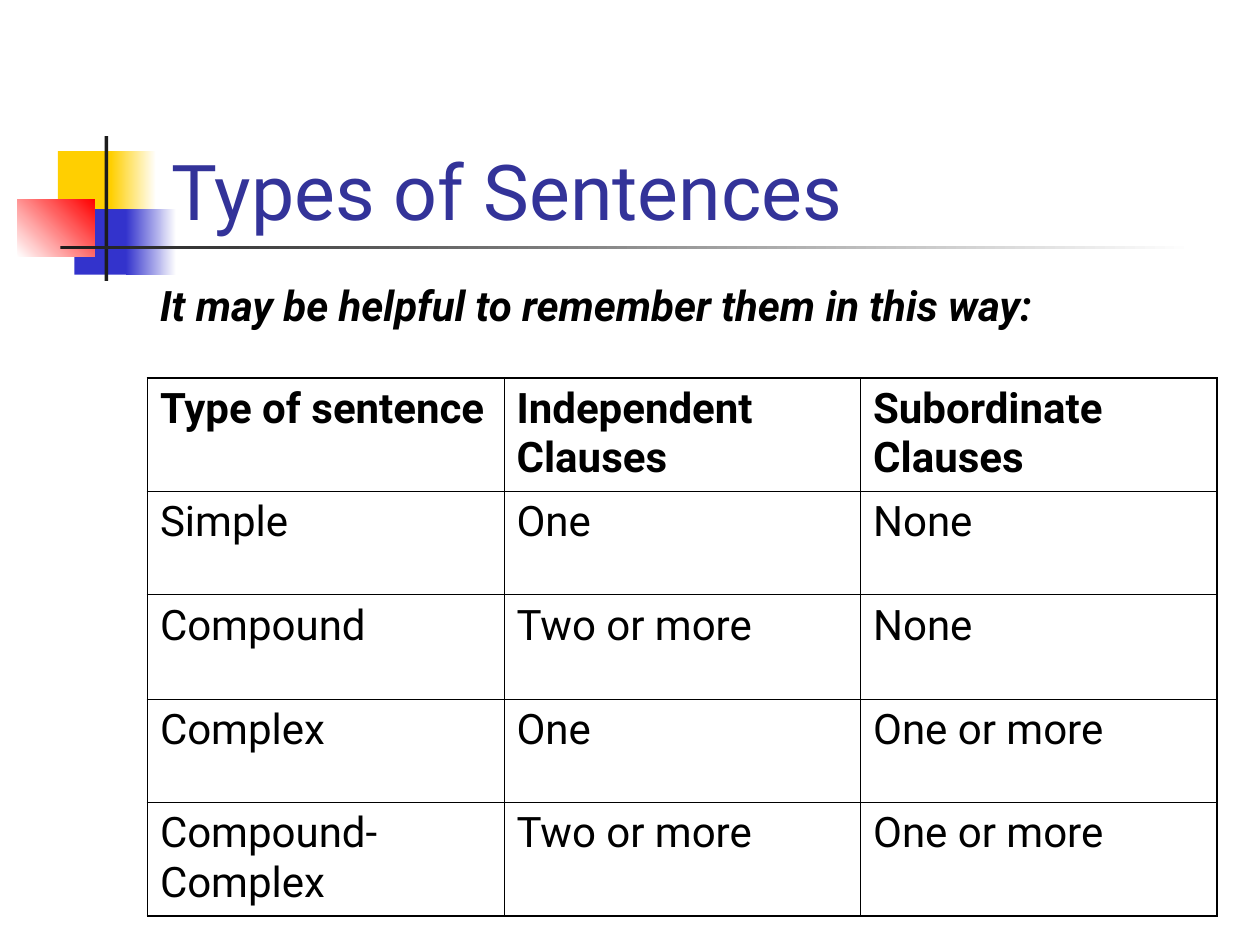
from dataclasses import dataclass

from lxml.etree import SubElement
from pptx import Presentation
from pptx.dml.color import RGBColor
from pptx.enum.shapes import MSO_SHAPE
from pptx.enum.text import MSO_ANCHOR, MSO_AUTO_SIZE, PP_ALIGN
from pptx.oxml import parse_xml
from pptx.oxml.ns import qn
from pptx.util import Inches, Pt

FONT = "Roboto"
BLACK, WHITE = "000000", "FFFFFF"
OUTER, INNER = 1.08, 0.45  # table border widths in points


@dataclass
class Block:
    """A decorative rectangle; a second colour makes it a gradient."""
    left: float
    top: float
    width: float
    height: float
    color: str
    end_color: str = ""
    angle: float = 0


BLOCKS = [
    Block(0.46, 1.2, 0.48, 0.52, "FFCF01"),
    Block(0.88, 1.2, 0.36, 0.52, "FFCF01", WHITE),
    Block(0.59, 1.66, 0.46, 0.52, "3333CC"),
    Block(1, 1.66, 0.4, 0.52, "3333CC", WHITE),
    Block(0.14, 1.58, 0.61, 0.46, WHITE, "FF0000", 45),
    Block(0.83, 1.08, 0.03, 1.15, "1C1C1C"),
    Block(0.48, 1.95, 9, 0.03, "1C1C1C", WHITE),
]

ROWS = [
    ("Type of sentence", "Independent Clauses", "Subordinate Clauses"),
    ("Simple", "One", "None"),
    ("Compound", "Two or more", "None"),
    ("Complex", "One", "One or more"),
    ("Compound-Complex", "Two or more", "One or more"),
]
ROW_HEIGHTS = [0.9, 0.82, 0.83, 0.82, 0.9]
COL_WIDTH = 2.83


def rgb(color: str) -> RGBColor:
    return RGBColor.from_string(color)


def write(tf, text: str, color: str = BLACK, **formats) -> None:
    p = tf.paragraphs[0]
    p.alignment = PP_ALIGN.LEFT
    r = p.add_run()
    r.text = text
    for name, value in {"name": FONT, "size": Pt(24), **formats}.items():
        setattr(r.font, name, value)
    r.font.color.rgb = rgb(color)


def draw_block(s, block: Block) -> None:
    box = map(Inches, (block.left, block.top, block.width, block.height))
    sp = s.shapes.add_shape(MSO_SHAPE.RECTANGLE, *box)
    sp.shadow.inherit = False
    sp.line.fill.background()
    if block.end_color:
        sp.fill.gradient()
        sp.fill.gradient_angle = block.angle
        for stop, color in zip(sp.fill.gradient_stops, (block.color, block.end_color)):
            stop.color.rgb = rgb(color)
    else:
        sp.fill.solid()
        sp.fill.fore_color.rgb = rgb(block.color)


def set_borders(cell, widths: dict[str, float]) -> None:
    """Put the side lines ahead of the cell's fill, as the schema orders them."""
    tc_pr = cell._tc.get_or_add_tcPr()
    for i, (side, width) in enumerate(widths.items()):
        ln = parse_xml(
            '<a:ln%s xmlns:a="http://schemas.openxmlformats.org/drawingml/2006/main"/>' % side)
        ln.set("w", str(Pt(width)))
        fill = SubElement(ln, qn("a:solidFill"))
        SubElement(fill, qn("a:srgbClr")).set("val", BLACK)
        tc_pr.insert(i, ln)


def draw_table(s, left: float, top: float) -> None:
    n_rows, n_cols = len(ROWS), len(ROWS[0])
    table = s.shapes.add_table(
        n_rows, n_cols, Inches(left), Inches(top),
        Inches(COL_WIDTH * n_cols), Inches(sum(ROW_HEIGHTS))).table
    table.first_row = table.horz_banding = False
    for column in table.columns:
        column.width = Inches(COL_WIDTH)
    for i, (texts, height) in enumerate(zip(ROWS, ROW_HEIGHTS)):
        table.rows[i].height = Inches(height)
        for j, text in enumerate(texts):
            cell = table.cell(i, j)
            cell.fill.solid()
            cell.fill.fore_color.rgb = rgb(WHITE)
            write(cell.text_frame, text, bold=i == 0)
            edges = {"L": j == 0, "R": j == n_cols - 1,
                     "T": i == 0, "B": i == n_rows - 1}
            set_borders(cell, {side: OUTER if edge else INNER
                               for side, edge in edges.items()})


def main() -> None:
    prs = Presentation()
    prs.slide_width, prs.slide_height = Inches(10), Inches(7.5)
    s = prs.slides.add_slide(prs.slide_layouts[5])

    # Decoration behind the title
    for block in BLOCKS:
        draw_block(s, block)

    # Title, brought in front of the decoration
    title = s.shapes.title
    title.left, title.top, title.width, title.height = map(Inches, (1.26, 0.67, 8.52, 1.25))
    s.shapes._spTree.append(title._element)
    tf = title.text_frame
    tf.auto_size = MSO_AUTO_SIZE.NONE
    tf.vertical_anchor = MSO_ANCHOR.BOTTOM
    write(tf, "Types of Sentences", "333399", size=Pt(44))

    # Table of clause counts
    draw_table(s, 1.17, 3)

    # Lead-in line above the table
    sp = s.shapes.add_textbox(*map(Inches, (1.17, 2.17, 8.58, 0.5)))
    tf = sp.text_frame
    tf.word_wrap = True
    tf.auto_size = MSO_AUTO_SIZE.SHAPE_TO_FIT_TEXT
    write(tf, "It may be helpful to remember them in this way:", bold=True, italic=True)

    prs.save("out.pptx")


if __name__ == "__main__":
    main()
